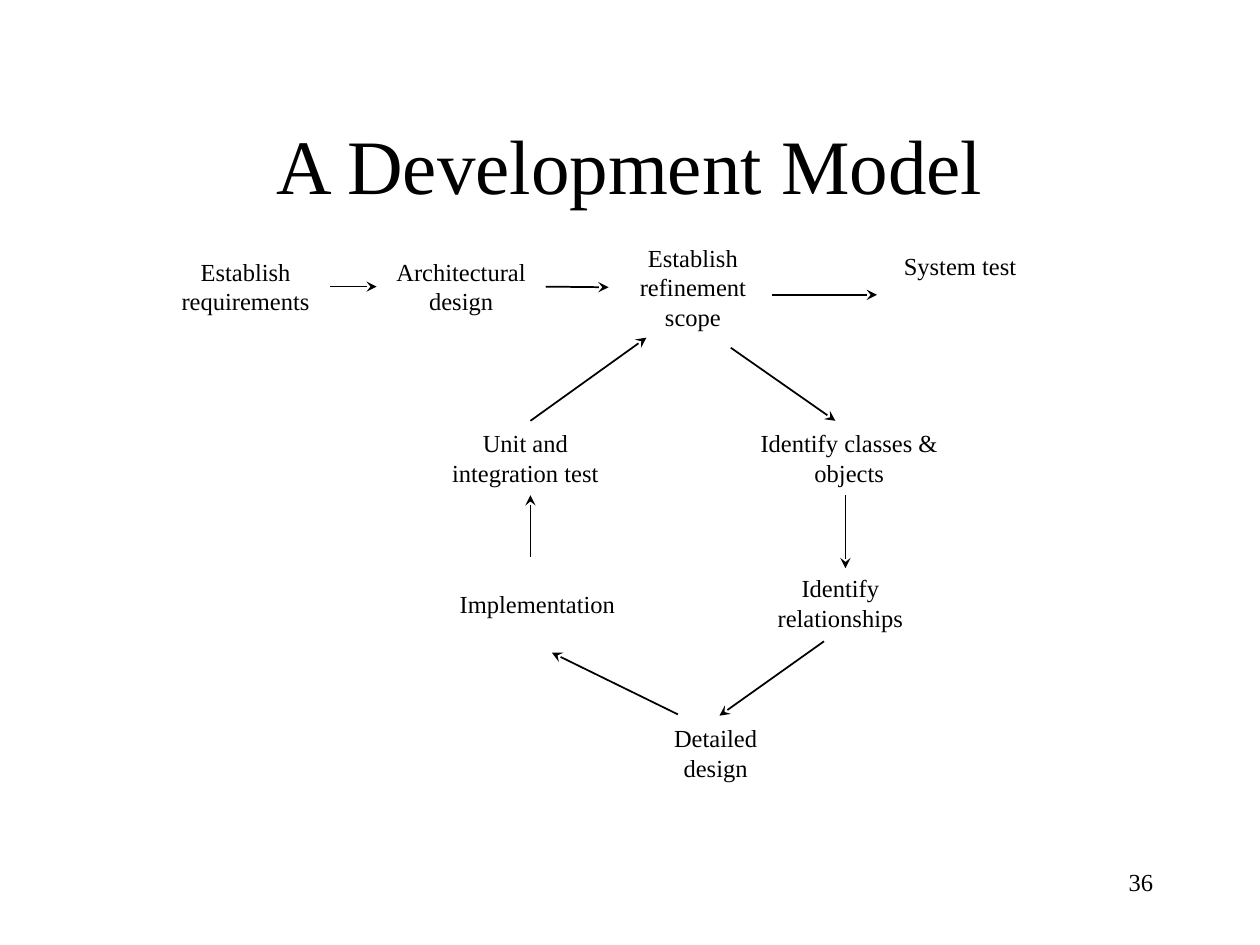
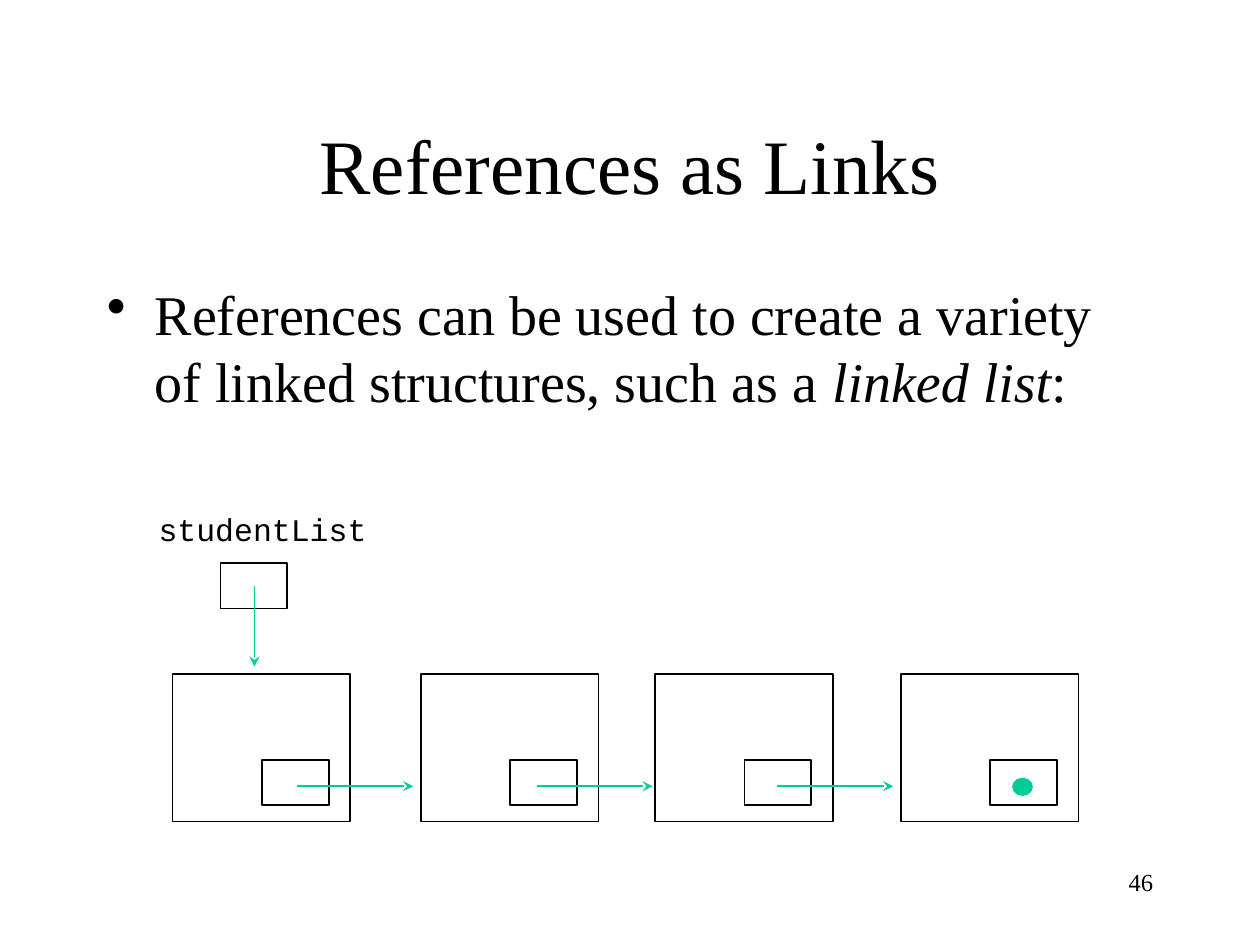
from dataclasses import dataclass
from lxml.etree import SubElement
from pptx import Presentation
from pptx.dml.color import RGBColor
from pptx.enum.shapes import MSO_CONNECTOR, MSO_SHAPE
from pptx.enum.text import MSO_ANCHOR, PP_ALIGN
from pptx.oxml.ns import qn
from pptx.util import Inches, Pt


@dataclass(frozen=True)
class Theme:
    ink: RGBColor = RGBColor(0, 0, 0)
    paper: RGBColor = RGBColor(255, 255, 255)
    link: RGBColor = RGBColor(0, 204, 153)
    serif: str = "Times New Roman"
    mono: str = "Courier New"
    title: int = 44
    body: int = 32
    code: int = 18
    small: int = 14
    line: int = 1


THEME = Theme()
TITLE = (0.75, 0.67, 8.5, 1.25)
BODY = (0.75, 2.17, 8.5, 4.5)
NUMBER = (7.17, 6.83, 2.08, 0.5)
MODEL = (1.28, 1.86)
CHAIN = (1.16, 4.0)

STEPS = {
    "needs": ("Establish requirements", 0, 0.13, 1.34, 0.57),
    "plan": ("Architectural design", 1.71, 0.13, 1.34, 0.57),
    "scope": ("Establish refinement scope", 3.55, 0.02, 1.34, 0.8),
    "unit": ("Unit and integration test", 2.17, 1.49, 1.44, 0.57),
    "code": ("Implementation", 2.19, 2.58, 1.59, 0.7),
    "system": ("System test", 5.67, 0, 1.34, 0.83),
    "class": ("Identify classes & objects", 4.65, 1.49, 1.62, 0.57),
    "relate": ("Identify relationships", 4.72, 2.64, 1.34, 0.57),
    "detail": ("Detailed design", 3.73, 3.83, 1.34, 0.57),
}
JOINS = [("needs", "plan"), ("plan", "scope")]
FLOWS = [
    (4.85, 0.48, 5.68, 0.48),
    (4.52, 0.9, 5.35, 1.48),
    (5.43, 2.07, 5.43, 2.65),
    (5.26, 3.23, 4.43, 3.82),
    (4.1, 3.81, 3.1, 3.32),
    (2.93, 2.56, 2.93, 2.07),
    (2.93, 1.48, 3.85, 0.82),
]


def fill_text(frame, runs, size, font=THEME.serif, align=PP_ALIGN.LEFT,
              anchor=MSO_ANCHOR.TOP, wrap=True):
    frame.word_wrap = wrap
    frame.vertical_anchor = anchor
    par = frame.paragraphs[0]
    par.alignment = align
    for text, slant in runs:
        run = par.add_run()
        run.text = text
        run.font.size = Pt(size)
        run.font.name = font
        run.font.italic = slant
        run.font.color.rgb = THEME.ink
    return par


def add_text(slide, box, runs, size, **style):
    label = slide.shapes.add_textbox(*map(Inches, box))
    return fill_text(label.text_frame, runs, size, **style)


def add_box(slide, box, line, fill=None, kind=MSO_SHAPE.RECTANGLE):
    shape = slide.shapes.add_shape(kind, *map(Inches, box))
    shape.shadow.inherit = False
    if fill is None:
        shape.fill.background()
    else:
        shape.fill.solid()
        shape.fill.fore_color.rgb = fill
    shape.line.color.rgb = line
    shape.line.width = Pt(THEME.line)
    return shape


def add_arrow(slide, ends, color):
    arrow = slide.shapes.add_connector(MSO_CONNECTOR.STRAIGHT, *map(Inches, ends))
    arrow.line.color.rgb = color
    arrow.line.width = Pt(THEME.line)
    SubElement(arrow.line._get_or_add_ln(), qn("a:tailEnd"), type="stealth")
    SubElement(arrow._element.spPr, qn("a:effectLst"))
    return arrow


def add_page(deck, title, number):
    slide = deck.slides.add_slide(deck.slide_layouts[6])
    add_text(slide, TITLE, [(title, False)], THEME.title,
             align=PP_ALIGN.CENTER, anchor=MSO_ANCHOR.MIDDLE)
    add_text(slide, NUMBER, [(str(number), False)], THEME.small,
             align=PP_ALIGN.RIGHT)
    return slide


def draw_model(slide, left, top):
    boxes = {}
    for name, (text, x, y, wide, high) in STEPS.items():
        box = add_box(slide, (left + x, top + y, wide, high), THEME.paper)
        anchor = MSO_ANCHOR.MIDDLE if name == "code" else MSO_ANCHOR.TOP
        fill_text(box.text_frame, [(text, False)], THEME.small,
                  align=PP_ALIGN.CENTER, anchor=anchor)
        boxes[name] = box
    boxes["system"].text_frame.margin_top = Inches(0.13)
    for start, end in JOINS:
        arrow = add_arrow(slide, (0, 0, 0, 0), THEME.ink)
        arrow.begin_connect(boxes[start], 3)
        arrow.end_connect(boxes[end], 1)
    for x1, y1, x2, y2 in FLOWS:
        add_arrow(slide, (left + x1, top + y1, left + x2, top + y2), THEME.ink)


def draw_bullet(slide, box, runs):
    par = add_text(slide, box, runs, THEME.body)
    props = par._p.get_or_add_pPr()
    props.set("marL", str(Inches(0.38)))
    props.set("indent", str(Inches(-0.38)))
    SubElement(props, qn("a:buChar"), char="•")


def draw_chain(slide, left, top):
    cell = (0.53, 0.36)
    add_box(slide, (left + 0.59, top + 0.47, *cell), THEME.ink)
    add_text(slide, (left, top, 1.85, 0.4), [("studentList", False)],
             THEME.code, font=THEME.mono, wrap=False)
    nodes = [left + x for x in (0.21, 2.18, 4.04, 5.99)]
    row = top + 1.35
    for x in nodes:
        add_box(slide, (x, row, 1.41, 1.17), THEME.ink)
        add_box(slide, (x + 0.71, row + 0.68, *cell), THEME.ink)
    level = row + 0.89
    for x, shift in zip(nodes, (0.99, 0.92, 0.97)):
        start = x + shift
        add_arrow(slide, (start, level, start + 0.92, level), THEME.link)
    stem = left + 0.86
    add_arrow(slide, (stem, top + 0.65, stem, top + 1.29), THEME.link)
    add_box(slide, (nodes[-1] + 0.89, row + 0.83, 0.15, 0.13),
            THEME.link, THEME.link, MSO_SHAPE.OVAL)


def main():
    deck = Presentation()
    deck.slide_width, deck.slide_height = Inches(10), Inches(7.5)
    draw_model(add_page(deck, "A Development Model", 36), *MODEL)
    slide = add_page(deck, "References as Links", 46)
    draw_bullet(slide, BODY, [
        ("References can be used to create a variety of linked structures, such as a ", False),
        ("linked list", True),
        (":", False),
    ])
    draw_chain(slide, *CHAIN)
    deck.save("out.pptx")


if __name__ == "__main__":
    main()
